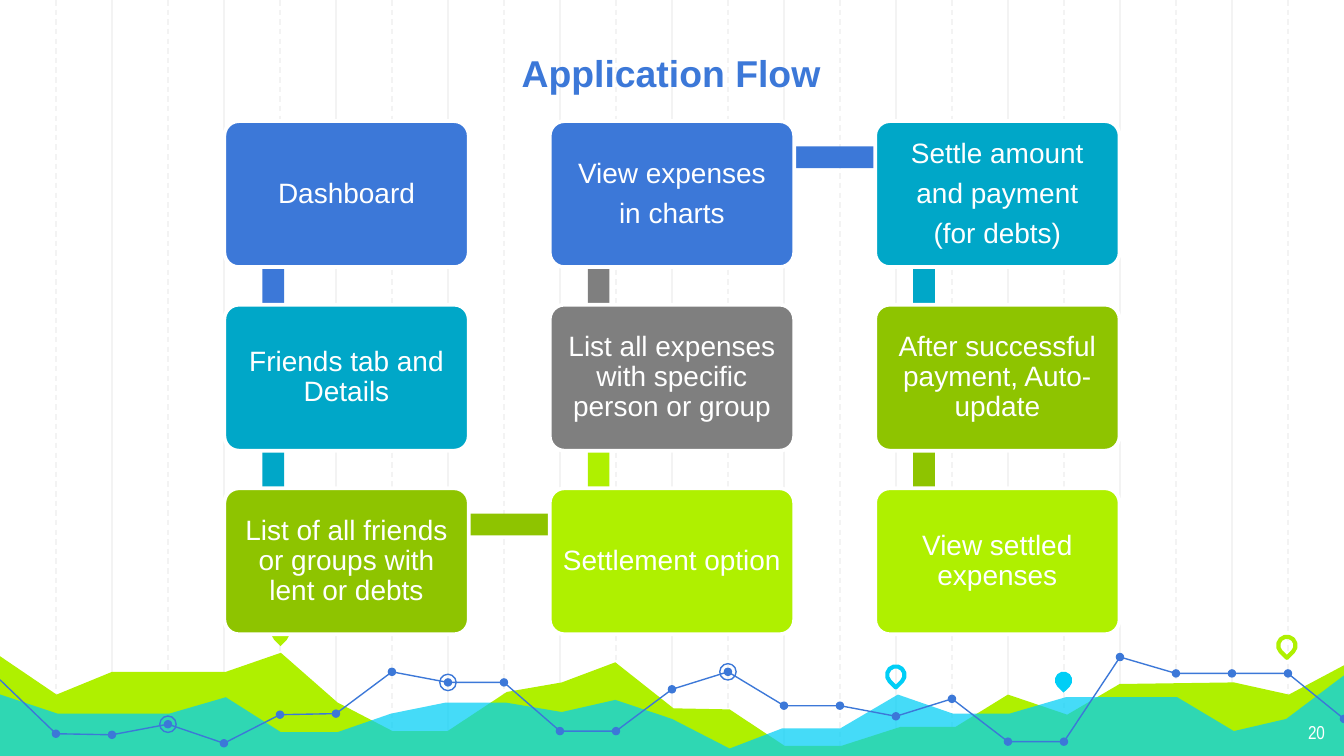
from dataclasses import dataclass

from lxml.etree import SubElement
from pptx import Presentation
from pptx.dml.color import RGBColor
from pptx.enum.dml import MSO_LINE
from pptx.enum.shapes import MSO_CONNECTOR, MSO_SHAPE
from pptx.enum.text import MSO_ANCHOR, PP_ALIGN
from pptx.oxml.ns import qn
from pptx.util import Cm, Pt


@dataclass(frozen=True)
class Theme:
    blue: str = "3C78D8"
    teal: str = "00A7C8"
    cyan: str = "00CEF6"
    green: str = "8EC400"
    lime: str = "AFF000"
    gray: str = "7F7F7F"
    grid: str = "F3F3F3"
    white: str = "FFFFFF"
    font: str = "Arial"
    narrow: str = "Arial Narrow"
    title: int = 20
    body: int = 15
    small: int = 10


T = Theme()


def write(sp, text, size, color, font=T.font, bold=False, align=PP_ALIGN.CENTER,
          anchor=MSO_ANCHOR.MIDDLE, inset=0.25, spacing=1.0, after=0):
    tf = sp.text_frame
    tf.word_wrap = True
    tf.vertical_anchor = anchor
    tf.margin_left = tf.margin_right = tf.margin_top = tf.margin_bottom = Cm(inset)
    for i, line in enumerate(text.split("\n")):
        p = tf.add_paragraph() if i else tf.paragraphs[0]
        p.alignment, p.line_spacing, p.space_after = align, spacing, Pt(after)
        r = p.add_run()
        r.text = line
        r.font.name, r.font.size, r.font.bold = font, Pt(size), bold
        r.font.color.rgb = RGBColor.from_string(color)


def paint(sp, fill=None, line=None, width=0.75):
    sp.shadow.inherit = False
    if fill:
        sp.fill.solid()
        sp.fill.fore_color.rgb = RGBColor.from_string(fill)
    else:
        sp.fill.background()
    if line:
        sp.line.color.rgb = RGBColor.from_string(line)
        sp.line.width = Pt(width)
    else:
        sp.line.fill.background()


prs = Presentation()
prs.slide_width, prs.slide_height = Cm(25.4), Cm(14.29)
s = prs.slides.add_slide(prs.slide_layouts[6])
shapes = s.shapes
STEP = 25.4 / 24
BOTTOM = 14.33

# Vertical grid: solid and dashed lines alternate
for i in range(1, 24):
    x = Cm(i * STEP)
    cn = shapes.add_connector(MSO_CONNECTOR.STRAIGHT, x, 0, x, Cm(BOTTOM))
    cn.line.color.rgb = RGBColor.from_string(T.grid)
    cn.line.width = Pt(0.75)
    if i % 2:
        cn.line.dash_style = MSO_LINE.DASH
    SubElement(cn.element.spPr, qn("a:effectLst"))

# Hills, the front one translucent
lime_hill = [
    (-0.05, 12.37), (1.07, 13.13), (2.12, 12.7), (4.27, 12.7), (5.31, 12.34),
    (6.38, 13.28), (7.42, 13.82), (8.46, 13.82), (9.58, 13.08), (10.62, 12.9),
    (11.63, 12.52), (12.73, 13.39), (13.79, 13.41), (14.83, 14.1), (15.9, 14.1),
    (17.02, 13.74), (18.06, 13.74), (19.05, 13.13), (20.17, 13.51),
    (21.16, 12.93), (23.32, 12.9), (24.36, 13.13), (25.45, 12.55)]
cyan_hill = [
    (-0.05, 13.11), (1.09, 13.49), (3.2, 13.49), (4.27, 13.18), (5.31, 13.84),
    (6.38, 13.84), (7.39, 13.49), (8.43, 13.28), (9.55, 13.28), (10.62, 13.46),
    (11.63, 13.23), (12.7, 13.59), (13.79, 14.15), (14.78, 13.77), (15.88, 13.77),
    (16.97, 13.13), (18.01, 13.49), (19.08, 13.49), (20.14, 13.18),
    (22.25, 13.18), (23.32, 13.82), (24.31, 13.59), (25.45, 12.73)]
for ridge, color, alpha in [(lime_hill, T.lime, 100), (cyan_hill, T.cyan, 73)]:
    points = [(Cm(x), Cm(y)) for x, y in ridge + [(25.45, BOTTOM), (-0.08, BOTTOM)]]
    fb = shapes.build_freeform(*points[0])
    fb.add_line_segments(points[1:], close=True)
    sp = fb.convert_to_shape()
    paint(sp, fill=color)
    if alpha < 100:
        clr = sp.element.spPr.find(qn("a:solidFill")).find(qn("a:srgbClr"))
        SubElement(clr, qn("a:alpha"), val=str(alpha * 1000))

# Map pins: centre, fill, outline
PIN = 0.33
for x, y, fill, line in [(5.3, 11.98, T.lime, None), (16.93, 12.76, None, T.cyan),
                         (20.1, 12.86, T.cyan, None), (24.32, 12.2, None, T.lime)]:
    sp = shapes.add_shape(MSO_SHAPE.TEAR, Cm(x - PIN / 2), Cm(y - PIN / 2), Cm(PIN), Cm(PIN))
    sp.rotation = 135
    paint(sp, fill, line, 2.25)

# Trend line in three stretches, with a dot at each step and three rings
heights = [12.85, 13.87, 13.89, 13.69, 14.05, 13.51, 13.49, 12.7, 12.9, 12.9, 13.82,
           13.82, 13.03, 12.7, 13.34, 13.34, 13.54, 13.21, 14.02, 14.02, 12.42,
           12.73, 12.73, 12.73, 13.59]
trend = [(i * STEP, y) for i, y in enumerate(heights)]
for first, last in [(0, 11), (11, 20), (20, 24)]:
    points = [(Cm(x), Cm(y)) for x, y in trend[first:last + 1]]
    fb = shapes.build_freeform(*points[0])
    fb.add_line_segments(points[1:], close=False)
    paint(fb.convert_to_shape(), line=T.blue)
dots = [(x, y, 0.16, T.blue, None) for x, y in trend[1:]]
rings = [(*trend[i], 0.31, None, T.blue) for i in (3, 8, 13)]
for x, y, d, fill, line in dots + rings:
    sp = shapes.add_shape(MSO_SHAPE.OVAL, Cm(x - d / 2), Cm(y - d / 2), Cm(d), Cm(d))
    paint(sp, fill, line)

# Title and slide number
sp = shapes.add_textbox(Cm(2.97), Cm(0.91), Cm(19.43), Cm(1.14))
write(sp, "Application Flow", T.title, T.blue, bold=True, anchor=MSO_ANCHOR.BOTTOM)
sp = shapes.add_textbox(Cm(23.77), Cm(13.41), Cm(1.52), Cm(0.89))
write(sp, "20", T.small, T.white, font=T.narrow, align=PP_ALIGN.RIGHT, anchor=MSO_ANCHOR.TOP)

# Flow cards in order: column, row, colour, text
cards = [
    (0, 0, T.blue, "Dashboard"),
    (0, 1, T.teal, "Friends tab and Details"),
    (0, 2, T.green, "List of all friends or groups with lent or debts"),
    (1, 2, T.lime, "Settlement option"),
    (1, 1, T.gray, "List all expenses with specific person or group"),
    (1, 0, T.blue, "View expenses\nin charts"),
    (2, 0, T.teal, "Settle amount\nand payment\n(for debts)"),
    (2, 1, T.green, "After successful payment, Auto-update"),
    (2, 2, T.lime, "View settled expenses"),
]
LEFT, TOP, PITCH_X, PITCH_Y = 4.24, 2.29, 6.15, 3.47
CARD_W, CARD_H, BAR = 4.62, 2.76, 0.41
for i, (col, row, color, text) in enumerate(cards):
    x, y = LEFT + col * PITCH_X, TOP + row * PITCH_Y
    # The bar to the next card lies behind both cards
    if i + 1 < len(cards):
        next_col, next_row = cards[i + 1][:2]
        if next_col > col:
            box = (x + 0.94, y + 0.48, 6.12, BAR)
        else:
            box = (x + 0.72, TOP + min(row, next_row) * PITCH_Y + 0.7, BAR, 3.43)
        paint(shapes.add_shape(MSO_SHAPE.RECTANGLE, *map(Cm, box)), fill=color)
    sp = shapes.add_shape(MSO_SHAPE.ROUNDED_RECTANGLE, Cm(x), Cm(y), Cm(CARD_W), Cm(CARD_H))
    sp.adjustments[0] = 0.1
    paint(sp, color, T.white, 2)
    write(sp, text, T.body, T.white, inset=0.15, spacing=0.9, after=5.25)

prs.save("out.pptx")
